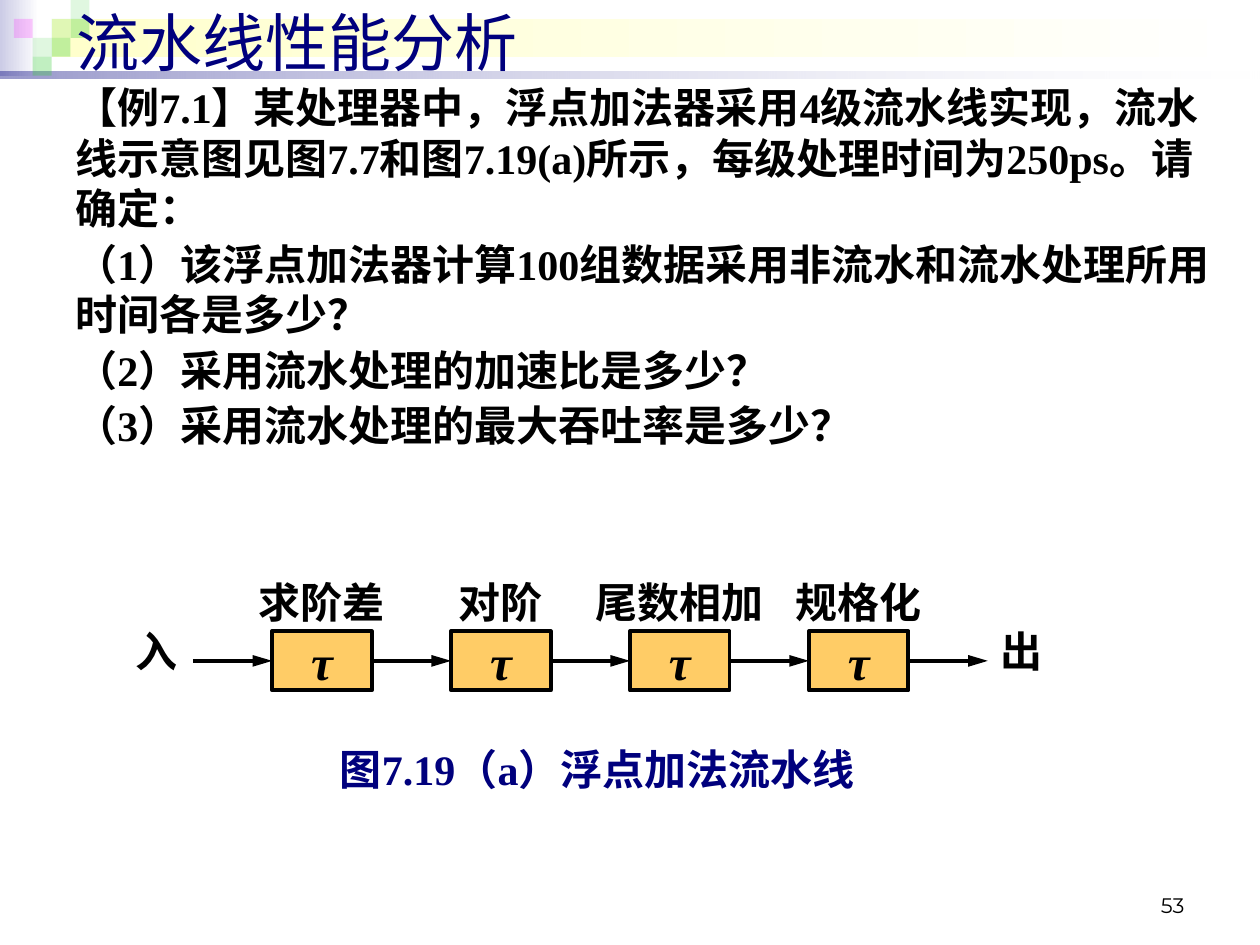
from lxml import etree
from pptx import Presentation
from pptx import util as u
from pptx.dml.color import RGBColor
from pptx.enum import shapes, text
from pptx.oxml.ns import qn

COLORS = {"navy": "00007D", "black": "000000", "white": "FFFFFF", "lavender": "CCCCE6",
          "cream": "FFFFCC", "green": "33CC33", "magenta": "FF00FF", "orange": "FFCC66"}
RGB = {name: RGBColor.from_string(value) for name, value in COLORS.items()}
SERIF = "Times New Roman"

deck = Presentation()
deck.slide_width, deck.slide_height = u.Inches(10), u.Inches(7.5)
page = deck.slides.add_slide(deck.slide_layouts[6])


def add_rectangle(left, top, width, height):
    box = page.shapes.add_shape(shapes.MSO_SHAPE.RECTANGLE, *map(u.Inches, (left, top, width, height)))
    box.shadow.inherit = False
    box.line.fill.background()
    return box


def write(lines, place=None, box=None, size=24, font=SERIF, color="black", bold=True,
          italic=False, align="LEFT", anchor="MIDDLE", wrap=False):
    if box is None:
        box = page.shapes.add_textbox(*map(u.Inches, place))
    frame = box.text_frame
    frame.word_wrap = wrap
    frame.auto_size = text.MSO_AUTO_SIZE.NONE
    frame.vertical_anchor = text.MSO_ANCHOR[anchor]
    for number, line in enumerate(lines):
        para = frame.add_paragraph() if number else frame.paragraphs[0]
        para.alignment = text.PP_ALIGN[align]
        para.space_before = u.Pt(3 if number else 0)
        span = para.add_run()
        span.text = line
        span.font.name, span.font.size = font, u.Pt(size)
        span.font.bold, span.font.italic = bold, italic
        span.font.color.rgb = RGB[color]


# Fading bands behind the title: place, start colour, end colour, opacities
bands = [((0, 0, 0.31, 0.6), "lavender", "white", (100, 100)),
         ((0.41, 0.15, 9.55, 0.3), "cream", "white", (100, 100)),
         ((0, 0.57, 10, 0.05), "navy", "white", (40, 10))]
for place, start, end, opacities in bands:
    band = add_rectangle(*place)
    band.fill.gradient()
    band.fill.gradient_angle = 0
    for stop, color, position, opacity in zip(band.fill.gradient_stops, (start, end), (0, 1), opacities):
        stop.color.rgb, stop.position = RGB[color], position
        if opacity < 100:
            tint = next(band._element.spPr.iter(qn("a:gsLst")))[position][0]
            etree.SubElement(tint, qn("a:alpha"), val=str(opacity * 1000))

# Corner mosaic: column, row, colour, opacity
TILE = 0.15
for column, row, color, opacity in [(2, 1, "green", 15), (3, 0, "green", 15), (3, 1, "green", 30),
                                    (1, 2, "green", 15), (0, 1, "magenta", 20),
                                    (2, 2, "green", 30), (1, 3, "green", 30)]:
    tile = add_rectangle(0.11 + column * TILE, row * TILE, TILE, TILE)
    tile.fill.solid()
    tile.fill.fore_color.rgb = RGB[color]
    tint = next(tile._element.spPr.iter(qn("a:srgbClr")))
    etree.SubElement(tint, qn("a:alpha"), val=str(opacity * 1000))

# Page number, title and exercise
write(["53"], (7.17, 6.83, 2.33, 0.5), size=12, font="Montserrat", bold=False,
      align="RIGHT", anchor="BOTTOM", wrap=True)
write(["流水线性能分析"], (0.51, -0.03, 9.37, 0.71), size=36, font="Arial",
      color="navy", bold=False, wrap=True)
write(["【例7.1】某处理器中，浮点加法器采用4级流水线实现，流水线示意图见图7.7和图7.19(a)所示，每级处理时间为250ps。请确定：",
       "（1）该浮点加法器计算100组数据采用非流水和流水处理所用时间各是多少？",
       "（2）采用流水处理的加速比是多少？",
       "（3）采用流水处理的最大吞吐率是多少？"],
      (0.5, 0.6, 9.38, 6.69), anchor="TOP", wrap=True)

# Pipeline stages
LEFT, TOP, PITCH, WIDTH, HEIGHT = 2.16, 5.01, 1.42, 0.79, 0.47
LABEL = 1.1
GAP = PITCH - WIDTH
stages = []
for number, name in enumerate(["求阶差", "对阶", "尾数相加", "规格化"]):
    left = LEFT + number * PITCH
    stage = add_rectangle(left, TOP, WIDTH, HEIGHT)
    stage.fill.solid()
    stage.fill.fore_color.rgb = RGB["orange"]
    stage.line.color.rgb, stage.line.width = RGB["black"], u.Pt(2.25)
    write(["τ"], box=stage, size=28, italic=True, align="CENTER")
    write([name], (left + (WIDTH - LABEL) / 2, TOP - HEIGHT, LABEL, HEIGHT), align="CENTER")
    stages.append(stage)

# Arrows into, between and out of the stages
middle = u.Inches(TOP + HEIGHT / 2)
for number, (source, target) in enumerate(zip([None] + stages, stages + [None])):
    end = LEFT + number * PITCH
    arrow = page.shapes.add_connector(shapes.MSO_CONNECTOR.STRAIGHT,
                                      u.Inches(end - GAP), middle, u.Inches(end), middle)
    if source is not None:
        arrow.begin_connect(source, 3)
    if target is not None:
        arrow.end_connect(target, 1)
    arrow.line.color.rgb, arrow.line.width = RGB["black"], u.Pt(2.25)
    etree.SubElement(arrow.line._get_or_add_ln(), qn("a:tailEnd"), type="triangle", w="med", len="lg")
    etree.SubElement(arrow._element.spPr, qn("a:effectLst"))

# Input, output and caption
for name, left in [("入", 0.98), ("出", 7.84)]:
    write([name], (left, 4.93, WIDTH, HEIGHT))
write(["图7.19（a）浮点加法流水线"], (2.6, 5.85, 4.77, 0.5), color="navy")

deck.save("out.pptx")
